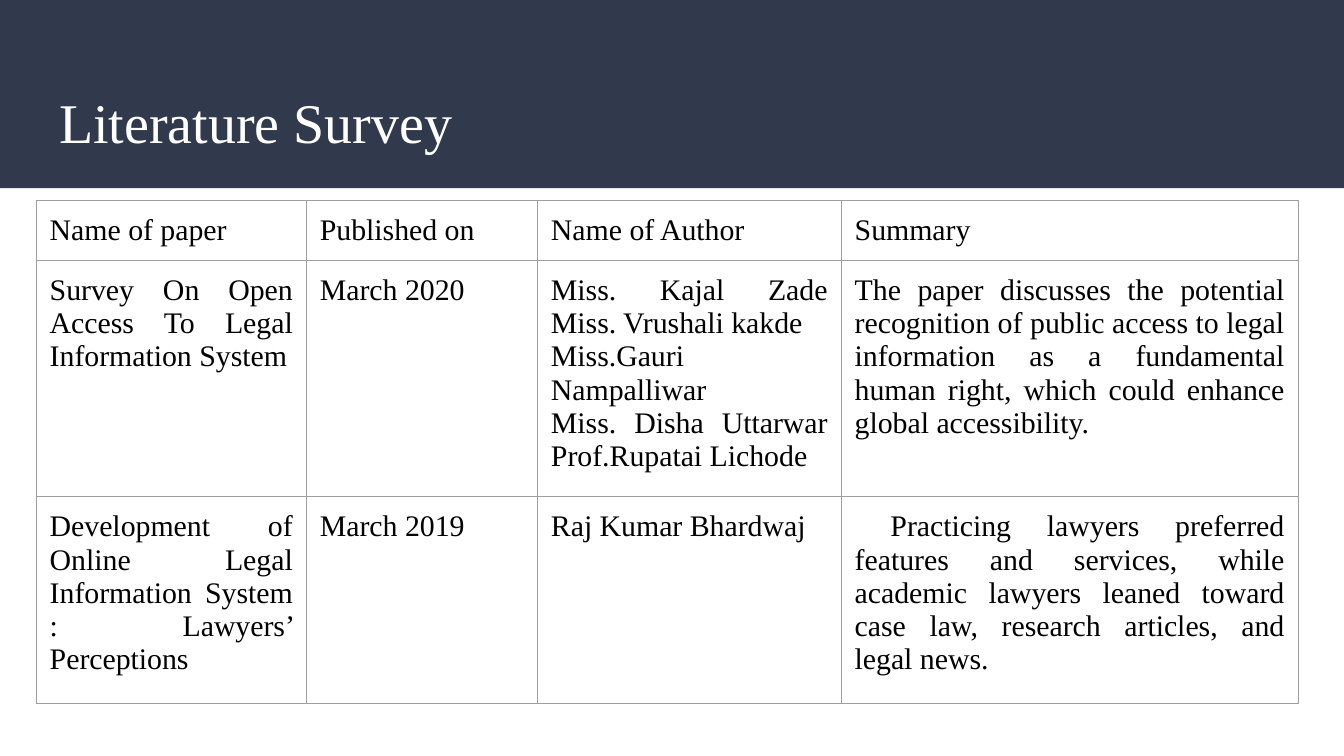
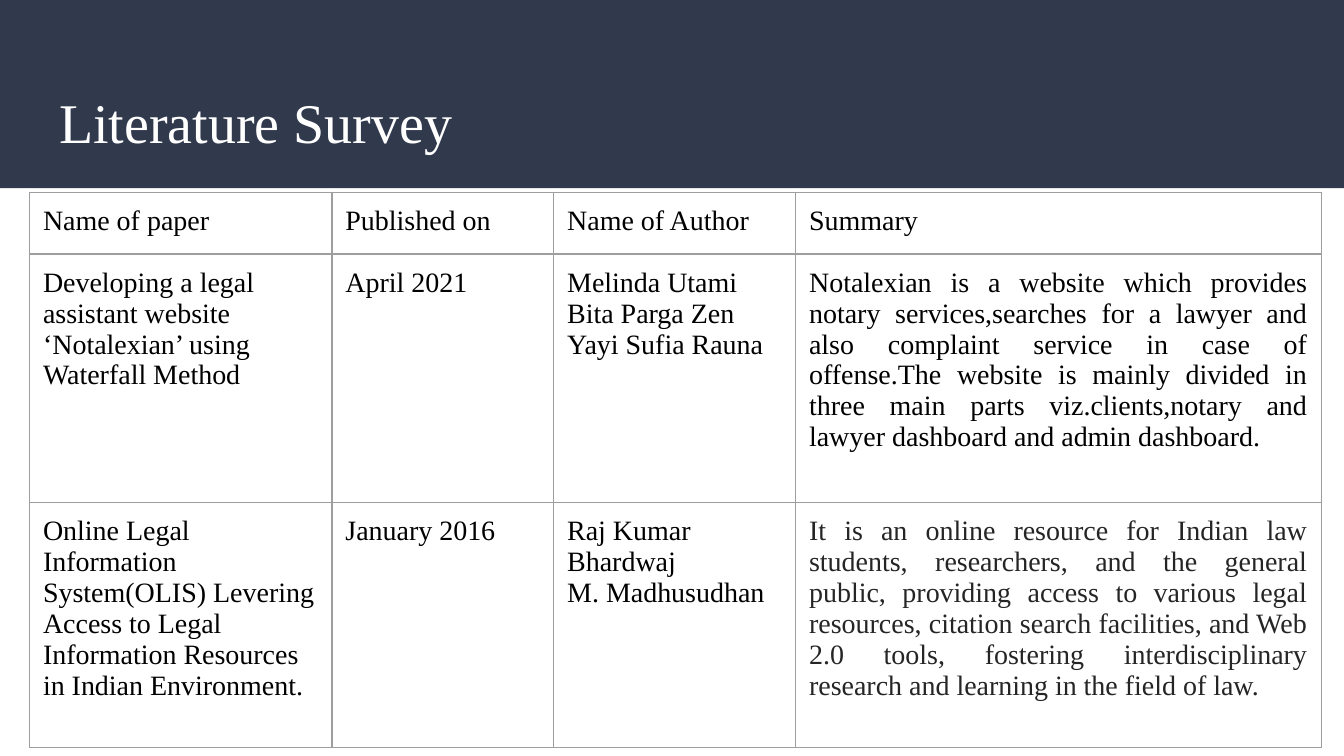
from lxml import etree
from pptx import Presentation
from pptx.dml.color import RGBColor
from pptx.enum import shapes, text
from pptx.oxml import ns
from pptx.util import Inches, Pt

NAVY = RGBColor(0x31, 0x39, 0x4D)
WHITE = RGBColor(0xFF, 0xFF, 0xFF)
BLACK = RGBColor(0x00, 0x00, 0x00)
CHARCOAL = RGBColor(0x25, 0x25, 0x25)
GREY = RGBColor(0x9E, 0x9E, 0x9E)
FONT = "Times New Roman"
LEFT, JUSTIFY = text.PP_ALIGN.LEFT, text.PP_ALIGN.JUSTIFY

HEADINGS = ["Name of paper", "Published on", "Name of Author", "Summary"]

# One entry per slide; a line break in a cell starts a new paragraph
SURVEYS = [
    {
        "left": 0.27, "top": 1.49, "size": 16,
        "columns": [2.01, 1.72, 2.26, 3.4], "rows": [0.41, 1.76, 1.54],
        "justified": [0, 1, 2, 3], "summary_colors": [BLACK, BLACK],
        "papers": [
            ["Survey On Open Access To Legal Information System",
             "March 2020",
             "Miss. Kajal Zade Miss. Vrushali kakde\nMiss.Gauri Nampalliwar\n"
             "Miss. Disha Uttarwar Prof.Rupatai Lichode",
             "The paper discusses the potential recognition of public access "
             "to legal information as a fundamental human right, which could "
             "enhance global accessibility."],
            ["Development of Online Legal Information System : "
             "Lawyers’ Perceptions",
             "March 2019",
             "Raj Kumar Bhardwaj",
             " Practicing lawyers preferred features and services, while "
             "academic lawyers leaned toward case law, research articles, "
             "and legal news."],
        ],
    },
    {
        "left": 0.22, "top": 1.43, "size": 15,
        "columns": [2.25, 1.65, 1.8, 3.91], "rows": [0.46, 1.85, 1.82],
        "justified": [3], "summary_colors": [BLACK, CHARCOAL],
        "papers": [
            ["Developing a legal assistant website ‘Notalexian’ using "
             "Waterfall Method",
             "April 2021",
             "Melinda Utami\nBita Parga Zen\nYayi Sufia Rauna",
             "Notalexian is a website which provides notary services,searches "
             "for a lawyer and also complaint service in case of offense.The "
             "website is mainly divided in three main parts "
             "viz.clients,notary and lawyer dashboard and admin dashboard."],
            ["Online Legal Information System(OLIS) Levering Access to Legal "
             "Information Resources in Indian Environment.",
             "January 2016",
             "Raj Kumar Bhardwaj\nM. Madhusudhan",
             "It is an online resource for Indian law students, researchers, "
             "and the general public, providing access to various legal "
             "resources, citation search facilities, and Web 2.0 tools, "
             "fostering interdisciplinary research and learning in the field "
             "of law."],
        ],
    },
]


def write(frame, words, size, color, align):
    frame.text = words
    for para in frame.paragraphs:
        para.alignment = align
        for span in para.runs:
            for name, value in {"name": FONT, "size": Pt(size)}.items():
                setattr(span.font, name, value)
            span.font.color.rgb = color


def outline(cell):
    properties = cell._tc.get_or_add_tcPr()
    for position, side in enumerate(["lnL", "lnR", "lnT", "lnB"]):
        line = etree.Element(ns.qn(f"a:{side}"), w=str(Pt(0.75)))
        fill = etree.SubElement(line, ns.qn("a:solidFill"))
        etree.SubElement(fill, ns.qn("a:srgbClr"), val=str(GREY))
        properties.insert(position, line)


# Widescreen page, 16:9
deck = Presentation()
deck.slide_width = Inches(10)
deck.slide_height = deck.slide_width * 9 // 16

for survey in SURVEYS:
    page = deck.slides.add_slide(deck.slide_layouts[5])

    # Title on its band
    title = page.shapes.title
    box = {"left": 0.34, "top": 0.55, "width": 9.32, "height": 0.68}
    for name, value in box.items():
        setattr(title, name, Inches(value))
    frame = title.text_frame
    layout = {"margin_left": Inches(0.1), "margin_right": Inches(0.1),
              "margin_top": Inches(0.1), "margin_bottom": Inches(0.08),
              "vertical_anchor": text.MSO_ANCHOR.BOTTOM,
              "auto_size": text.MSO_AUTO_SIZE.NONE, "word_wrap": True}
    for name, value in layout.items():
        setattr(frame, name, value)
    write(frame, "Literature Survey", 30, WHITE, LEFT)

    band = page.shapes.add_shape(shapes.MSO_SHAPE.RECTANGLE, 0, 0,
                                 deck.slide_width, Inches(1.4))
    band.shadow.inherit = False
    band.fill.solid()
    band.fill.fore_color.rgb = NAVY
    band.line.fill.background()
    title.element.addprevious(band.element)

    # Survey table
    content = [HEADINGS] + survey["papers"]
    table = page.shapes.add_table(
        len(content), len(HEADINGS),
        Inches(survey["left"]), Inches(survey["top"]),
        Inches(sum(survey["columns"])), Inches(sum(survey["rows"]))).table
    table.first_row = table.horz_banding = False
    for column, width in zip(table.columns, survey["columns"]):
        column.width = Inches(width)
    for row, height in zip(table.rows, survey["rows"]):
        row.height = Inches(height)

    for r, entries in enumerate(content):
        for c, words in enumerate(entries):
            cell = table.cell(r, c)
            for side in ["left", "right", "top", "bottom"]:
                setattr(cell, f"margin_{side}", Inches(0.1))
            cell.fill.background()
            outline(cell)
            is_summary = r > 0 and c == 3
            color = survey["summary_colors"][r - 1] if is_summary else BLACK
            # On the second slide only the summaries are justified
            justified = c in survey["justified"] and (
                r > 0 or len(survey["justified"]) == len(HEADINGS))
            align = JUSTIFY if justified else LEFT
            write(cell.text_frame, words, survey["size"], color, align)

deck.save("out.pptx")
